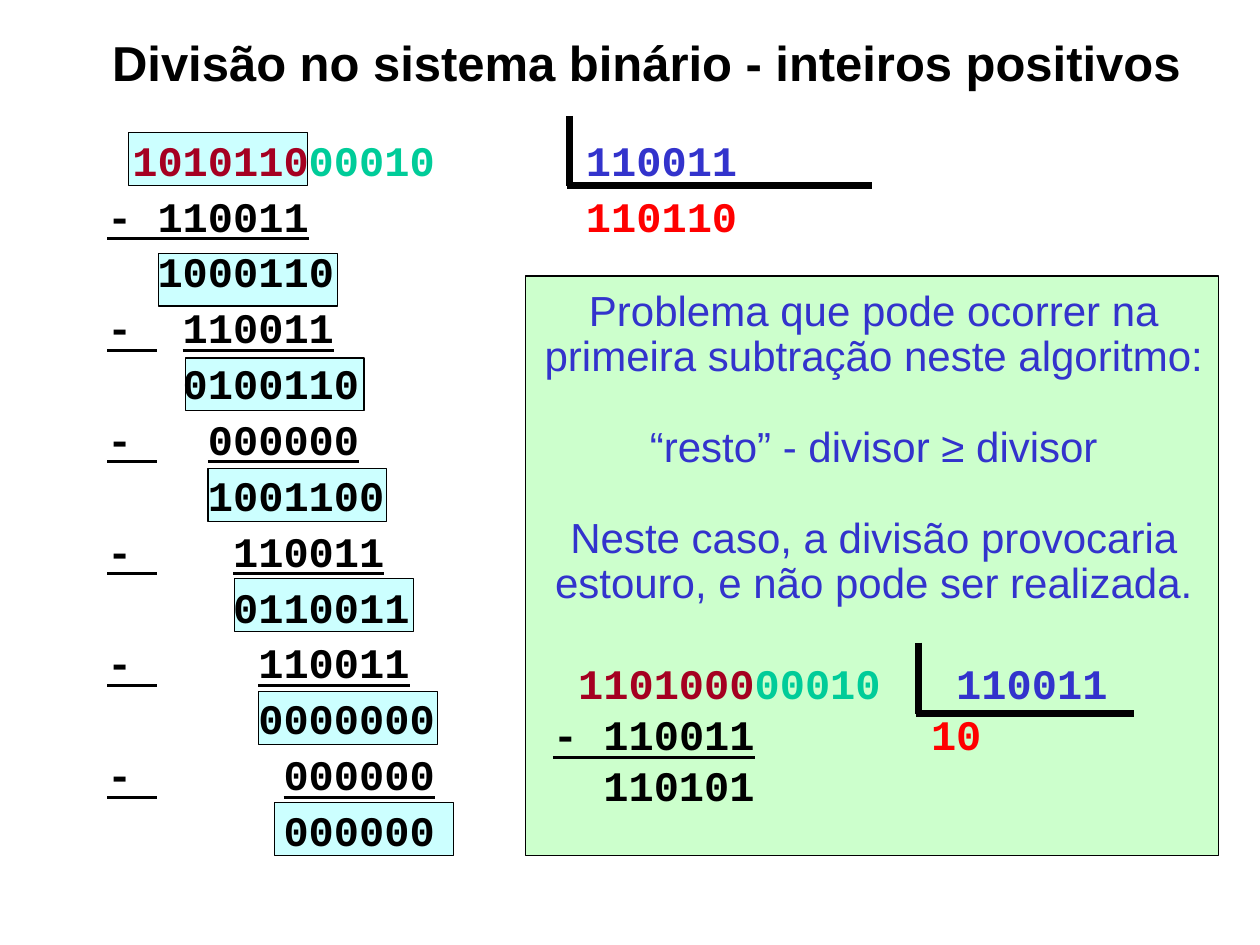
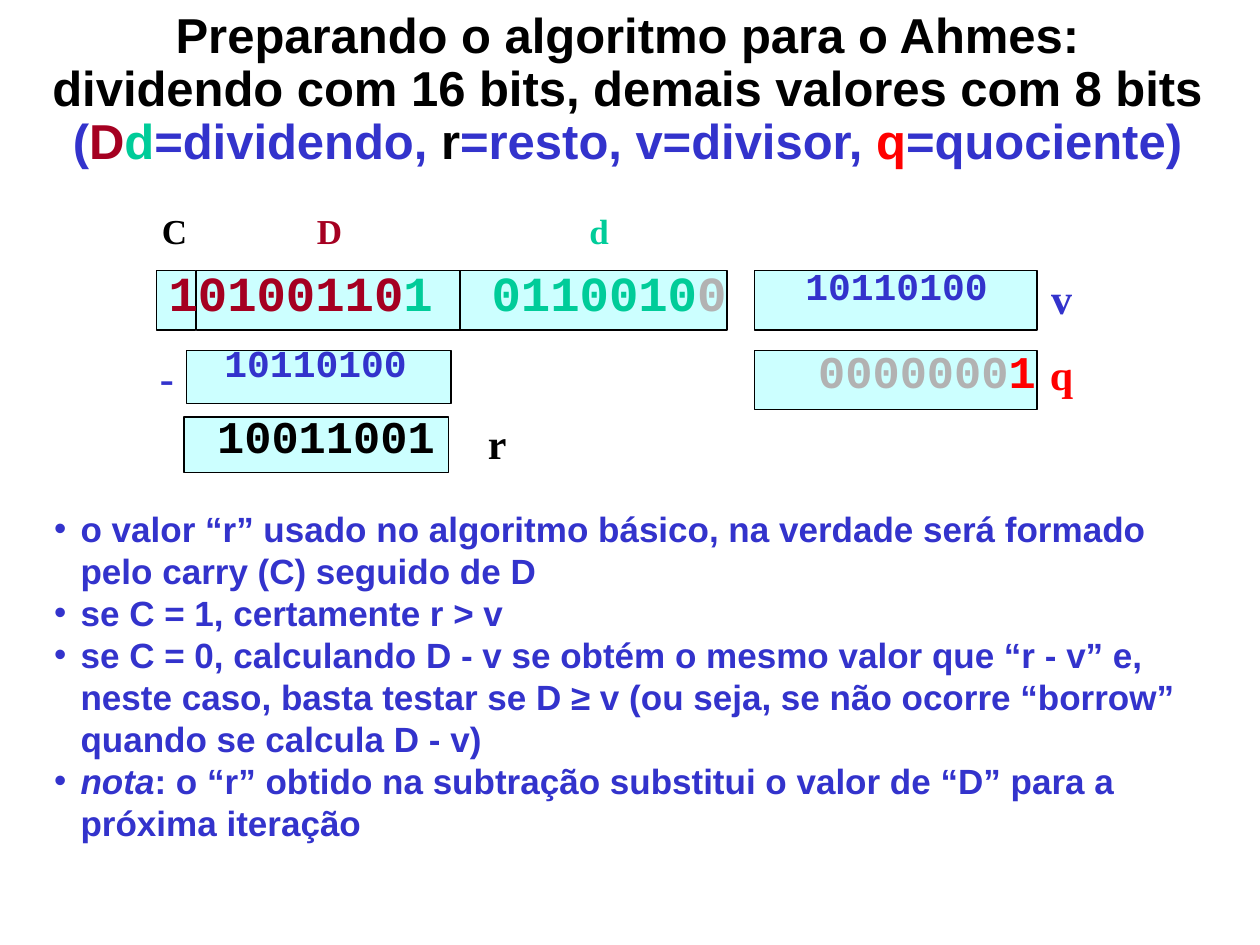
"""Builds two slides on binary division, with worked examples and the register layout."""
from typing import NamedTuple

from lxml import etree
from pptx import Presentation
from pptx import util as u
from pptx.dml.color import RGBColor
from pptx.enum import shapes, text
from pptx.oxml import ns

BLACK = RGBColor(0x00, 0x00, 0x00)
BLUE = RGBColor(0x33, 0x33, 0xCC)
CRIMSON = RGBColor(0xA5, 0x00, 0x21)
TEAL = RGBColor(0x00, 0xCC, 0x99)
RED = RGBColor(0xFF, 0x00, 0x00)
GRAY = RGBColor(0xB2, 0xB2, 0xB2)
CYAN_FILL = RGBColor(0xCC, 0xFF, 0xFF)
GREEN_FILL = RGBColor(0xCC, 0xFF, 0xCC)

SANS, MONO, SERIF = "Arial", "Courier New", "Times New Roman"
CENTER, RIGHT = text.PP_ALIGN.CENTER, text.PP_ALIGN.RIGHT
DIGIT_RATIO = 0.6
DIGIT_SIZE = 24
DIGIT_WIDTH = 0.2


class Span(NamedTuple):
    """Words in one format; spread widens the letter spacing, in points."""
    words: str
    color: RGBColor
    underline: bool = False
    italic: bool = False
    spread: float = 0


def gap(columns, size=DIGIT_SIZE, underline=False):
    """Returns one space as wide as a number of monospaced columns."""
    return Span(" ", BLACK, underline, spread=(columns - 1) * size * DIGIT_RATIO)


def place(box, left, top, width, height):
    """Moves a box and gives it its size."""
    box.left, box.top = u.Inches(left), u.Inches(top)
    box.width, box.height = u.Inches(width), u.Inches(height)
    box.text_frame.word_wrap = True
    box.text_frame.auto_size = text.MSO_AUTO_SIZE.NONE
    return box


def add_text_box(page, left, top, width, height):
    """Adds an empty wrapping text box."""
    box = page.shapes.add_textbox(0, 0, 0, 0)
    return place(box, left, top, width, height)


def add_rect(page, left, top, width, height, fill=CYAN_FILL):
    """Adds a filled rectangle with a thin black outline."""
    box = page.shapes.add_shape(shapes.MSO_SHAPE.RECTANGLE, u.Inches(left),
                                u.Inches(top), u.Inches(width), u.Inches(height))
    box.shadow.inherit = False
    box.fill.solid()
    box.fill.fore_color.rgb = fill
    box.line.color.rgb = BLACK
    box.line.width = u.Pt(0.75)


def add_line(page, start, end):
    """Adds a thick black straight line."""
    line = page.shapes.add_connector(shapes.MSO_CONNECTOR.STRAIGHT,
                                     *map(u.Inches, start + end))
    line.line.color.rgb = BLACK
    line.line.width = u.Pt(4)
    etree.SubElement(line.element.spPr, ns.qn("a:effectLst"))


def add_division_bracket(page, left, top, bottom, right):
    """Adds the bracket that sets a divisor apart from its quotient."""
    add_line(page, (left, top), (left, bottom))
    add_line(page, (left - 0.02, bottom - 0.01), (right, bottom - 0.01))


def set_list_format(para, margin, bullet):
    """Sets the left margin and the bullet of a paragraph."""
    props = para._p.get_or_add_pPr()
    props.set("marL", str(u.Inches(margin)))
    props.set("indent", str(u.Inches(-margin if bullet else 0)))
    if bullet:
        tint = etree.SubElement(props, ns.qn("a:buClr"))
        etree.SubElement(tint, ns.qn("a:srgbClr"), val=str(BLUE))
        etree.SubElement(props, ns.qn("a:buFont"), typeface=SANS)
        etree.SubElement(props, ns.qn("a:buChar"), char="•")
    else:
        etree.SubElement(props, ns.qn("a:buNone"))


def add_para(box, *fields, size=24, font=SANS, bold=True, align=None,
             leading=1.0, before=0, margin=0, bullet=False):
    """Adds a paragraph made of Span fields in the given format."""
    frame = box.text_frame
    para, is_first = frame.paragraphs[0], True
    if para.runs:
        para, is_first = frame.add_paragraph(), False
    set_list_format(para, margin, bullet)
    para.alignment = align
    para.line_spacing = leading
    para.space_before = u.Pt(0 if is_first else before)
    for look in (Span(*field) for field in fields):
        for index, part in enumerate(look.words.split("\n")):
            if index:
                para.add_line_break()
            if not part:
                continue
            span = para.add_run()
            span.text = part
            span.font.size, span.font.name, span.font.bold = u.Pt(size), font, bold
            span.font.color.rgb = look.color
            span.font.underline, span.font.italic = look.underline, look.italic
            if look.spread:
                span.font._element.set("spc", str(round(look.spread * 100)))


def add_title(page, at, *fields, leading):
    """Fills and places the title."""
    title = place(page.shapes.title, *at)
    title.text_frame.vertical_anchor = text.MSO_ANCHOR.MIDDLE
    add_para(title, *fields, size=28, align=CENTER, leading=leading)


def add_digits(box, column, *fields, leading):
    """Adds a line of digits that starts at a character column."""
    add_para(box, *fields, size=DIGIT_SIZE, font=MONO, before=6, leading=leading,
             margin=column * DIGIT_WIDTH)


def add_division(box, dividend, divisor, quotient, steps, gaps, leading):
    """Writes a long division, one subtraction and remainder per step."""
    high, low = dividend
    add_digits(box, 1, (high, CRIMSON), (low, TEAL), gap(gaps[0]), (divisor, BLUE),
               leading=leading)
    for column, (subtrahend, remainder) in enumerate(steps, 2):
        fields = [("-", BLACK, True), gap(column - 1, underline=True),
                  (subtrahend, BLACK, True)]
        if column == 2:
            fields += [gap(gaps[1]), (quotient, RED)]
        add_digits(box, 0, *fields, leading=leading)
        add_digits(box, column, (remainder, BLACK), leading=leading)


def add_value(page, at, *fields, size, align=None, leading=0.7):
    """Adds the binary value of a register."""
    add_para(add_text_box(page, *at), *fields, size=size, font=MONO,
             align=align, leading=leading)


def add_label(page, words, color, left, top, size=24):
    """Adds a one-letter register label."""
    box = add_text_box(page, left, top, 0.19, size / 60)
    frame = box.text_frame
    frame.word_wrap = False
    frame.margin_left = frame.margin_right = frame.margin_top = frame.margin_bottom = 0
    add_para(box, (words, color), size=size, font=SERIF, align=CENTER)


def build_division_page(page):
    """Builds the long division and the overflow warning."""
    add_title(page, (0.67, 0.17, 8.92, 0.75),
              ("Divisão no sistema binário - inteiros positivos", BLACK), leading=0.7)
    for left, top in ((1.02, 1.05), (1.26, 2.01), (1.47, 2.84), (1.65, 3.72),
                      (1.86, 4.59), (2.05, 5.49), (2.18, 6.37)):
        add_rect(page, left, top, 1.42, 0.42)

    body = place(page.placeholders[1], 0.75, 1.06, 9.25, 6.17)
    body.element.getparent().append(body.element)
    steps = (("110011", "1000110"), ("110011", "0100110"), ("000000", "1001100"),
             ("110011", "0110011"), ("110011", "0000000"), ("000000", "000000"))
    add_division(body, ("1010110", "00010"), "110011", "110110", steps, (6, 11), 0.9)
    add_division_bracket(page, 4.52, 0.92, 1.48, 6.92)

    add_rect(page, 4.17, 2.19, 5.5, 4.6, GREEN_FILL)
    warning = add_text_box(page, 4.12, 2.25, 5.63, 2.62)
    for words in ("Problema que pode ocorrer na primeira subtração neste algoritmo:",
                  "“resto” - divisor ≥ divisor",
                  "Neste caso, a divisão provocaria estouro, e não pode ser realizada."):
        add_para(warning, (words, BLUE), bold=False, align=CENTER, leading=0.9, before=26)
    overflow = add_text_box(page, 4.29, 5.25, 5.71, 1.42)
    add_division(overflow, ("1101000", "00010"), "110011", "10",
                 (("110011", "110101"),), (3, 7), 0.8)
    add_division_bracket(page, 7.29, 5.1, 5.67, 9)


def build_registers_page(page):
    """Builds the register diagram and the notes below it."""
    add_title(page, (0.21, 0.02, 9.54, 1.4),
              ("Preparando o algoritmo para o Ahmes:\n"
               "dividendo com 16 bits, demais valores com 8 bits\n", BLACK),
              ("(", BLUE), ("D", CRIMSON), ("d", TEAL), ("=dividendo, ", BLUE),
              ("r", BLACK), ("=resto, v=divisor, ", BLUE), ("q", RED),
              ("=quociente)", BLUE), leading=0.9)
    for register in ((5.99, 2.78, 2.24, 0.47), (5.99, 2.15, 2.24, 0.47),
                     (1.24, 2.15, 0.31, 0.47), (1.56, 2.15, 2.12, 0.47),
                     (3.65, 2.15, 2.12, 0.47), (1.48, 2.78, 2.1, 0.42),
                     (1.46, 3.31, 2.1, 0.44)):
        add_rect(page, *register)

    add_value(page, (1.24, 2.16, 4.76, 0.44), ("10100110", CRIMSON), ("1", TEAL),
              gap(2, size=28), ("0110010", TEAL), ("0", GRAY), size=28)
    for left, top in ((1.33, 2.77), (5.94, 2.16)):
        add_value(page, (left, top, 2.35, 0.36), ("10110100", BLUE),
                  size=21.7, align=CENTER, leading=0.6)
    add_value(page, (1.17, 3.31, 2.38, 0.42), ("10011001", BLACK), size=25.9, align=RIGHT)
    add_value(page, (5.94, 2.79, 2.38, 0.42), ("0000000", GRAY), ("1", RED),
              size=25.9, align=RIGHT)

    for words, color, left in (("C", BLACK, 1.29), ("D", CRIMSON, 2.52), ("d", TEAL, 4.66)):
        add_label(page, words, color, left, 1.66, size=20)
    for words, color, left, top in (("-", BLUE, 1.23, 2.79), ("r", BLACK, 3.85, 3.31),
                                    ("v", BLUE, 8.33, 2.16), ("q", RED, 8.33, 2.77)):
        add_label(page, words, color, left, top)

    notes = place(page.placeholders[1], 0.33, 3.98, 9.27, 2.77)
    for fields in (
            [("o valor “r” usado no algoritmo básico, na verdade será formado "
              "pelo carry (C) seguido de D", BLUE)],
            [("se C = 1, certamente r > v", BLUE)],
            [("se C = 0, calculando D - v se obtém o mesmo valor que “r - v” e, "
              "neste caso, basta testar se D ≥ v (ou seja, se não ocorre “borrow” "
              "quando se calcula D - v)", BLUE)],
            [("nota", BLUE, False, True),
             (": o “r” obtido na subtração substitui o valor de “D” para a "
              "próxima iteração", BLUE)]):
        add_para(notes, *fields, size=20, margin=0.21, bullet=True)


def main():
    """Builds the deck and saves it."""
    deck = Presentation()
    deck.slide_width, deck.slide_height = u.Inches(10), u.Inches(7.5)
    layout = deck.slide_layouts[1]
    for build_page in (build_division_page, build_registers_page):
        build_page(deck.slides.add_slide(layout))
    deck.save("out.pptx")


if __name__ == "__main__":
    main()
